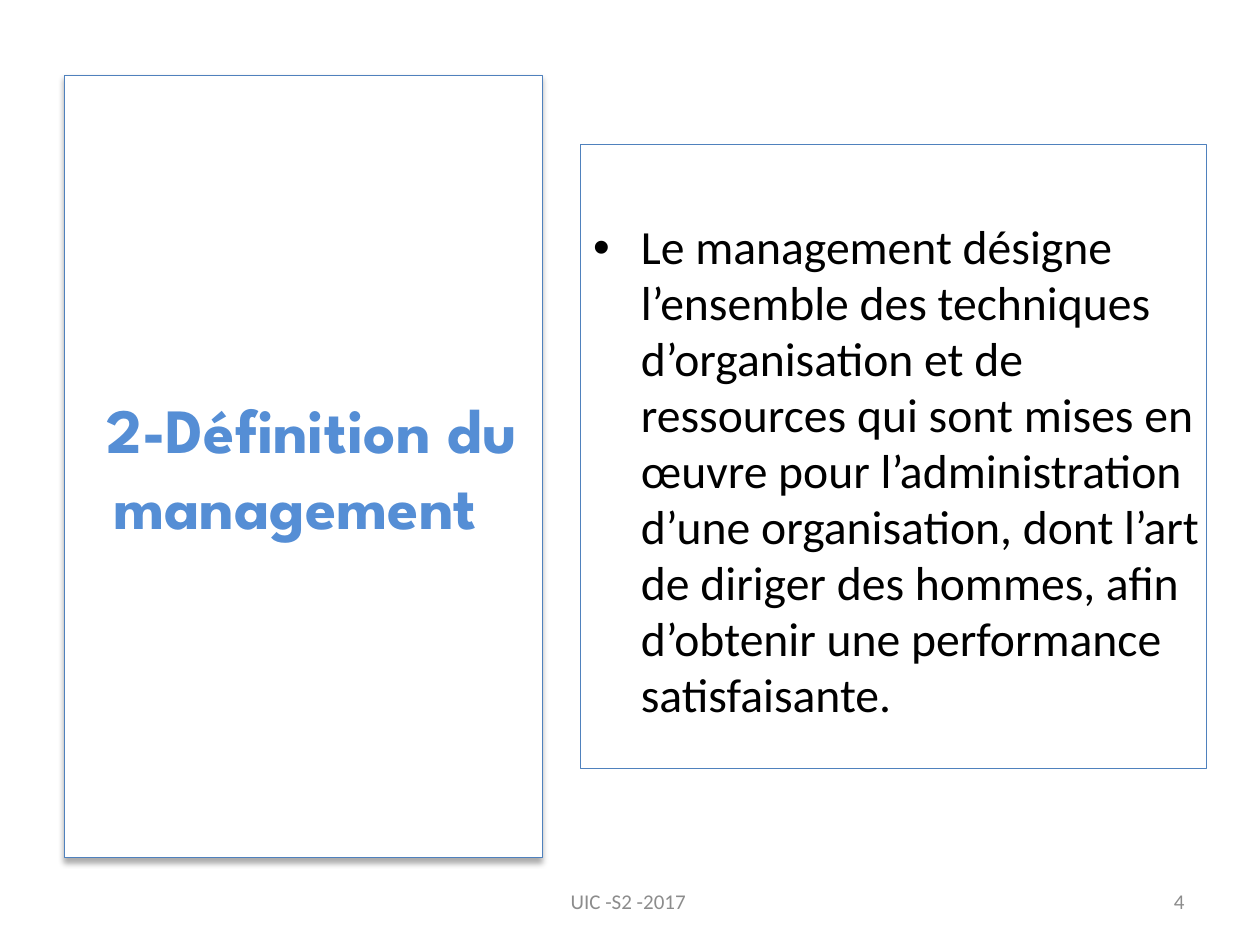
from lxml.etree import SubElement as Sub
from pptx import Presentation
from pptx.dml.color import RGBColor as Rgb
from pptx.enum.text import MSO_ANCHOR as Anchor, MSO_AUTO_SIZE as Fit, PP_ALIGN as Align
from pptx.oxml.ns import qn
from pptx.util import Cm, Pt

HUES = {"edge": "4F81BD", "title": "558ED5", "fill": "FFFFFF",
        "text": "000000", "note": "8C8C8C", "shade": "000000"}


def hue(name):
    return Rgb.from_string(HUES[name])


def put(shape, box, text, font="Calibri", size=12, color="text", bold=False,
        align=Align.LEFT, anchor=Anchor.MIDDLE, bullet=None, gap=1.0):
    """Place a shape in its box (cm) and write one formatted paragraph."""
    shape.left, shape.top, shape.width, shape.height = map(Cm, box)
    frame = shape.text_frame
    frame.word_wrap = True
    frame.auto_size = Fit.NONE
    frame.vertical_anchor = anchor
    para = frame.paragraphs[0]
    para.text = text
    para.alignment = align
    para.line_spacing = gap
    para.space_before = Pt(0)
    if bullet:
        props = para._p.get_or_add_pPr()
        props.set("marL", str(Cm(0.96)))
        props.set("indent", str(-Cm(0.96)))
        Sub(props, qn("a:buFont"), typeface="Arial")
        Sub(props, qn("a:buChar"), char=bullet)
    style = para.runs[0].font
    style.name, style.size, style.bold = font, Pt(size), bold
    style.color.rgb = hue(color)
    return frame


def edge(shape):
    shape.line.color.rgb = hue("edge")
    shape.line.width = Pt(0.75)


def shade(shape):
    """Add a soft shadow straight below the shape."""
    fx = Sub(shape._element.spPr, qn("a:effectLst"))
    drop = Sub(fx, qn("a:outerShdw"), blurRad=str(Pt(3.5)), dist=str(Pt(2.2)),
               dir="5400000", algn="ctr", rotWithShape="0")
    tint = Sub(drop, qn("a:srgbClr"), val=HUES["shade"])
    Sub(tint, qn("a:alpha"), val="32000")


def add_box(slide):
    return slide.shapes.add_textbox(0, 0, 0, 0)


def head(slide, box):
    title = slide.shapes.title
    put(title, box, " 2-Définition du management ", font="League Spartan",
        size=36, color="title", bold=True, align=Align.CENTER)
    title.fill.solid()
    title.fill.fore_color.rgb = hue("fill")
    edge(title)
    shade(title)


def body(slide, box):
    panel = add_box(slide)
    frame = put(panel, box,
                "Le management désigne l’ensemble des techniques d’organisation "
                "et de ressources qui sont mises en œuvre pour l’administration "
                "d’une organisation, dont l’art de diriger des hommes, afin "
                "d’obtenir une performance  satisfaisante.",
                size=27.2, anchor=Anchor.TOP, bullet="•", gap=0.98)
    frame.margin_top = Cm(1.5)
    frame.margin_right = Cm(0.1)
    edge(panel)


def foot(slide, box):
    left, top, width, height = box
    put(add_box(slide), (left, top, 8.05, height), "UIC -S2 -2017 ",
        color="note", align=Align.CENTER)
    span = 5.92
    put(add_box(slide), (left + width - span, top, span, height), "4",
        color="note", align=Align.RIGHT)


def main():
    deck = Presentation()
    deck.slide_width, deck.slide_height = Cm(25.4), Cm(19.05)
    slide = deck.slides.add_slide(deck.slide_layouts[5])
    # Title panel, definition, footer
    head(slide, (1.3, 1.52, 9.63, 15.77))
    body(slide, (11.71, 2.92, 12.62, 12.57))
    foot(slide, (8.69, 17.65, 15.44, 1.02))
    deck.save("out.pptx")


if __name__ == "__main__":
    main()
